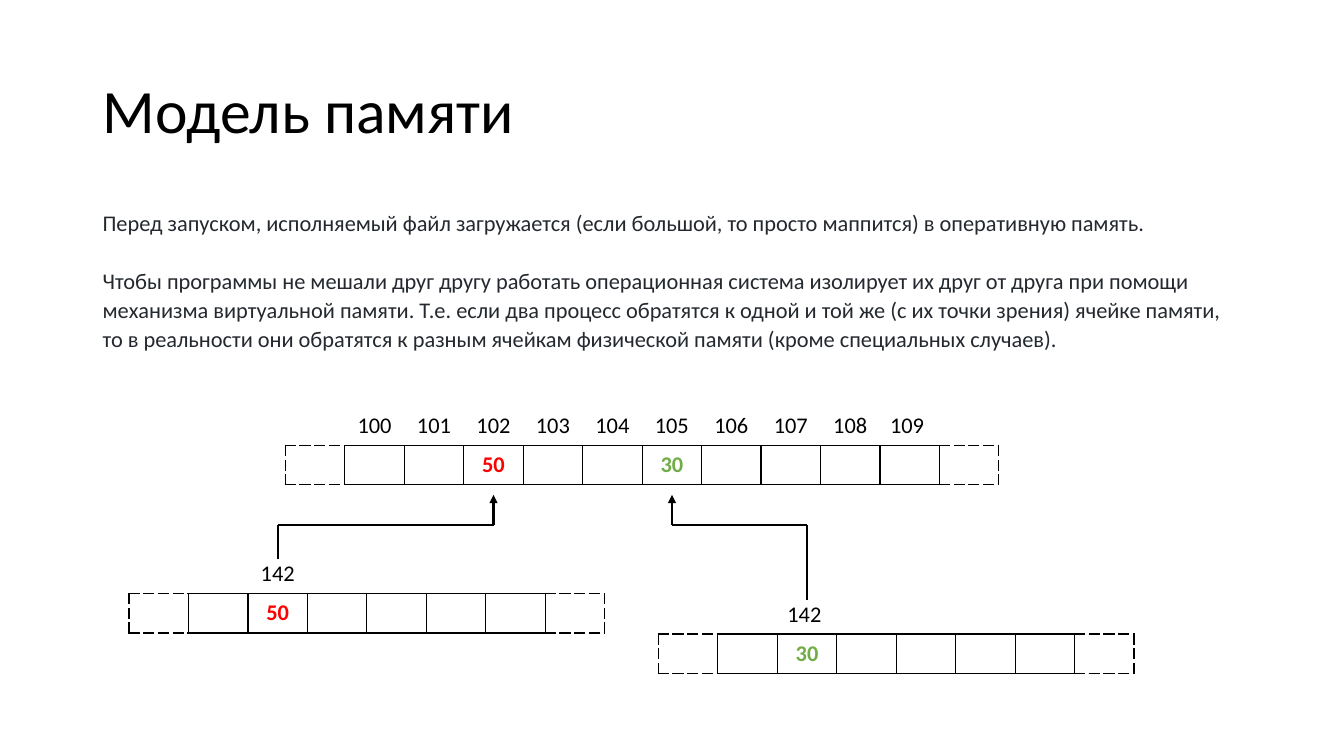
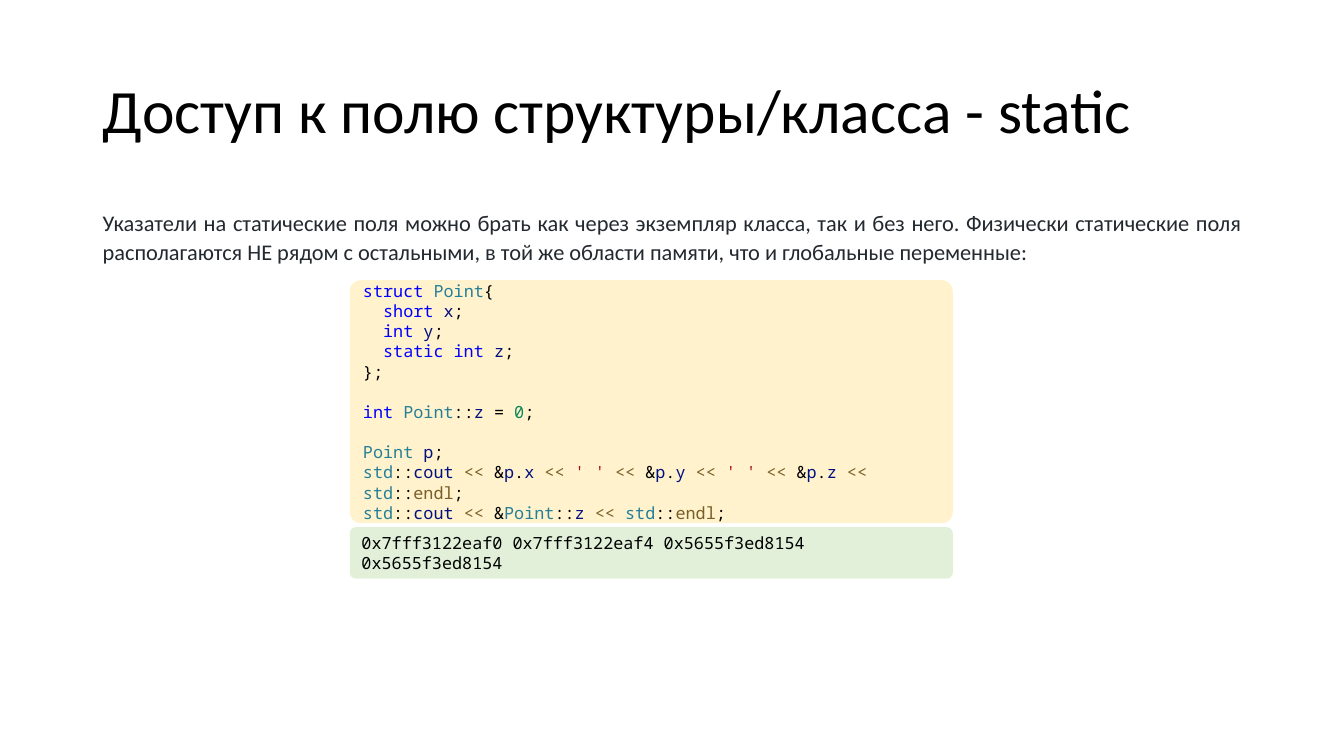
from lxml import etree
from pptx import Presentation
from pptx.dml.color import RGBColor
from pptx.enum.shapes import MSO_CONNECTOR, MSO_SHAPE
from pptx.enum.text import MSO_ANCHOR, PP_ALIGN
from pptx.oxml.ns import qn
from pptx.util import Inches, Pt

STRAIGHT = MSO_CONNECTOR.STRAIGHT
ROUNDED = MSO_SHAPE.ROUNDED_RECTANGLE
MIDDLE = MSO_ANCHOR.MIDDLE
LEFT, CENTER, JUSTIFY = PP_ALIGN.LEFT, PP_ALIGN.CENTER, PP_ALIGN.JUSTIFY

TITLE_ONLY = 5
WIDTH, HEIGHT = 13.33, 7.5
MARGIN, CONTENT_WIDTH = 0.92, 11.5
CELL_WIDTH, CELL_HEIGHT = 0.59, 0.39
NO_STYLE_TABLE = "{2D5ABB26-0587-4C30-8999-92F81FD0307C}"

BODY_FONT, CODE_FONT = "Calibri", "Noto Sans Mono"
CODE_SIZE, CODE_LINE = 12, 14.4
BLACK, BODY, RED, GREEN = "000000", "24292F", "FF0000", "70AD47"
CODE_FILL, OUTPUT_FILL = "FFF2CC", "E2F0D9"

SYNTAX = {
    "0000FF": ("struct", "short", "int", "static int"),
    "267F99": ("Point", "std"),
    "001080": ("x", "y", "z", "p", "cout"),
    "795E26": ("<<", "endl"),
    "A31515": ("' '",),
    "098658": ("0",),
}
TOKEN_COLORS = {token: color for color, tokens in SYNTAX.items() for token in tokens}

MEMORY_TEXT = [
    "Перед запуском, исполняемый файл загружается (если большой, то просто маппится) в оперативную память.",
    "Чтобы программы не мешали друг другу работать операционная система изолирует их друг от друга "
    "при помощи механизма виртуальной памяти. Т.е. если два процесс обратятся к одной и той же "
    "(с их точки зрения) ячейке памяти, то в реальности они обратятся к разным ячейкам физической "
    "памяти (кроме специальных случаев).",
]
STATIC_TEXT = [
    "Указатели на статические поля можно брать как через экземпляр класса, так и без него. "
    "Физически статические поля располагаются НЕ рядом с остальными, в той же области памяти, "
    "что и глобальные переменные:",
]
# CODE_PLACEHOLDER
CODE = [
    (0, 0, "struct |Point|{"),
    (1, 0, "short |x|;"),
    (1, 0, "int |y|;"),
    (1, 0, "static int |z|;"),
    (0, 0, "};"),
    (0, 1, "int |Point|::|z| = |0|;"),
    (0, 1, "Point |p|;"),
    (0, 0, "std|::|cout |<<| &|p|.|x |<< |' ' |<<| &|p|.|y |<< |' ' |<<| &|p|.|z |<< |std|::|endl|;"),
    (0, 0, "std|::|cout |<<| &|Point|::|z |<< |std|::|endl|;"),
]
OUTPUT = [
    (0, 0, "0x7fff3122eaf0 0x7fff3122eaf4 0x5655f3ed8154"),
    (0, 0, "0x5655f3ed8154"),
]


def rgb(value):
    return RGBColor.from_string(value)


def format_run(run, size, color, font=BODY_FONT, bold=False):
    run.font.name = font
    run.font.size = Pt(size)
    run.font.color.rgb = rgb(color)
    run.font.bold = bold


def add_titled_slide(presentation, title):
    slide = presentation.slides.add_slide(presentation.slide_layouts[TITLE_ONLY])
    shape = slide.shapes.title
    shape.left, shape.top = Inches(MARGIN), Inches(0.4)
    shape.width, shape.height = Inches(CONTENT_WIDTH), Inches(1.45)
    shape.text_frame.text = title
    shape.text_frame.vertical_anchor = MIDDLE
    paragraph = shape.text_frame.paragraphs[0]
    paragraph.alignment = LEFT
    paragraph.line_spacing = 0.9
    format_run(paragraph.runs[0], 44, BLACK)
    return slide


def add_body(slide, texts, height, alignment=LEFT):
    shape = slide.shapes.add_textbox(
        Inches(MARGIN), Inches(2), Inches(CONTENT_WIDTH), Inches(height))
    text_frame = shape.text_frame
    text_frame.word_wrap = True
    text_frame.text = "\n".join(texts)
    for index, paragraph in enumerate(text_frame.paragraphs):
        paragraph.alignment = alignment
        paragraph.line_spacing = 1.08
        paragraph.space_before = Pt(21 if index else 0)
        format_run(paragraph.runs[0], 16, BODY)


def set_borders(cell, **dashes):
    properties = cell._tc.get_or_add_tcPr()
    sides = [side for side in "LRTB" if side in dashes]
    for index, side in enumerate(sides):
        line = etree.Element(qn(f"a:ln{side}"), w=str(Pt(1)))
        fill = etree.SubElement(line, qn("a:solidFill"))
        etree.SubElement(fill, qn("a:srgbClr"), val=BLACK)
        etree.SubElement(line, qn("a:prstDash"), val=dashes[side])
        properties.insert(index, line)


def fill_cell(cell, text, color=BLACK, bold=False, alignment=CENTER):
    cell.text_frame.text = text
    paragraph = cell.text_frame.paragraphs[0]
    paragraph.alignment = alignment
    format_run(paragraph.runs[0], 16, color, bold=bold)


def add_memory_strip(slide, left, top, columns, labels, values, left_aligned=()):
    frame = slide.shapes.add_table(
        2, columns, Inches(left), Inches(top),
        Inches(columns * CELL_WIDTH), Inches(2 * CELL_HEIGHT))
    table = frame.table
    table.first_row = table.horz_banding = False
    table._tbl.tblPr.find(qn("a:tableStyleId")).text = NO_STYLE_TABLE
    for row in table.rows:
        row.height = Inches(CELL_HEIGHT)
    last = columns - 1
    for index, column in enumerate(table.columns):
        column.width = Inches(CELL_WIDTH)
        label_cell, value_cell = table.cell(0, index), table.cell(1, index)
        for cell in (label_cell, value_cell):
            cell.fill.background()
            cell.vertical_anchor = MIDDLE
            cell.margin_top = cell.margin_bottom = Inches(0.03)
        edge = "dash" if index in (0, last) else "solid"
        set_borders(label_cell, B=edge)
        set_borders(value_cell, T=edge, B=edge,
                    L="dash" if index == 0 else "solid",
                    R="dash" if index == last else "solid")
        if index in labels:
            alignment = LEFT if index in left_aligned else CENTER
            fill_cell(label_cell, labels[index], alignment=alignment)
        if index in values:
            text, color = values[index]
            fill_cell(value_cell, text, color, bold=True)
    return table


def column_center(left, column):
    return left + (column + 0.5) * CELL_WIDTH


def add_pointer(slide, start_x, start_y, end_x, end_y, bend_y):
    points = [(start_x, start_y), (start_x, bend_y), (end_x, bend_y), (end_x, end_y)]
    for start, end in zip(points, points[1:]):
        connector = slide.shapes.add_connector(
            STRAIGHT, *(Inches(value) for value in start + end))
        connector.line.color.rgb = rgb(BLACK)
        connector.line.width = Pt(1.5)
        etree.SubElement(connector._element.spPr, qn("a:effectLst"))
    etree.SubElement(connector.line._get_or_add_ln(), qn("a:tailEnd"), type="triangle")


def add_code_panel(slide, left, top, width, height, fill, radius, lines):
    shape = slide.shapes.add_shape(
        ROUNDED, Inches(left), Inches(top), Inches(width), Inches(height))
    shape.adjustments[0] = radius
    shape.shadow.inherit = False
    shape.fill.solid()
    shape.fill.fore_color.rgb = rgb(fill)
    shape.line.fill.background()
    text_frame = shape.text_frame
    text_frame.word_wrap = True
    text_frame.vertical_anchor = MIDDLE
    text_frame.text = "\n".join(line.replace("|", "") for _, _, line in lines)
    for paragraph, (indent, gap, line) in zip(text_frame.paragraphs, lines):
        paragraph.alignment = LEFT
        paragraph.line_spacing = Pt(CODE_LINE)
        paragraph.space_before = Pt(gap * CODE_LINE)
        paragraph._p.get_or_add_pPr().set("marL", str(Pt(indent * 1.2 * CODE_SIZE)))
        paragraph.clear()
        for token in line.split("|"):
            run = paragraph.add_run()
            run.text = token
            format_run(run, CODE_SIZE, TOKEN_COLORS.get(token.strip(), BLACK), CODE_FONT)


def build_memory_slide(presentation):
    slide = add_titled_slide(presentation, "Модель памяти")
    add_body(slide, MEMORY_TEXT, 1.7)
    physical_left, physical_top = 2.83, 4.03
    addresses = {column: str(99 + column) for column in range(1, 11)}
    table = add_memory_strip(
        slide, physical_left, physical_top, 12, addresses,
        {3: ("50", RED), 6: ("30", GREEN)}, left_aligned=(10,))
    table.cell(0, 10).merge(table.cell(0, 11))
    arrow_y = physical_top + 2 * CELL_HEIGHT + 0.1
    processes = [
        (1.28, 5.5, "50", RED, 3, ()),
        (6.53, 5.9, "30", GREEN, 6, (2,)),
    ]
    for left, top, value, color, target, left_aligned in processes:
        add_memory_strip(slide, left, top, 8, {2: "142"}, {2: (value, color)}, left_aligned)
        add_pointer(slide, column_center(left, 2), top + 0.05,
                    column_center(physical_left, target), arrow_y, arrow_y + 0.3)


def build_static_slide(presentation):
    slide = add_titled_slide(presentation, "Доступ к полю структуры/класса - static")
    add_body(slide, STATIC_TEXT, 0.75, JUSTIFY)
    left, width = 3.47, 5.98
    add_code_panel(slide, left, 2.78, width, 2.41, CODE_FILL, 0.045, CODE)
    add_code_panel(slide, left, 5.23, width, 0.51, OUTPUT_FILL, 0.113, OUTPUT)


def main():
    presentation = Presentation()
    presentation.slide_width = Inches(WIDTH)
    presentation.slide_height = Inches(HEIGHT)
    build_memory_slide(presentation)
    build_static_slide(presentation)
    presentation.save("out.pptx")


if __name__ == "__main__":
    main()
